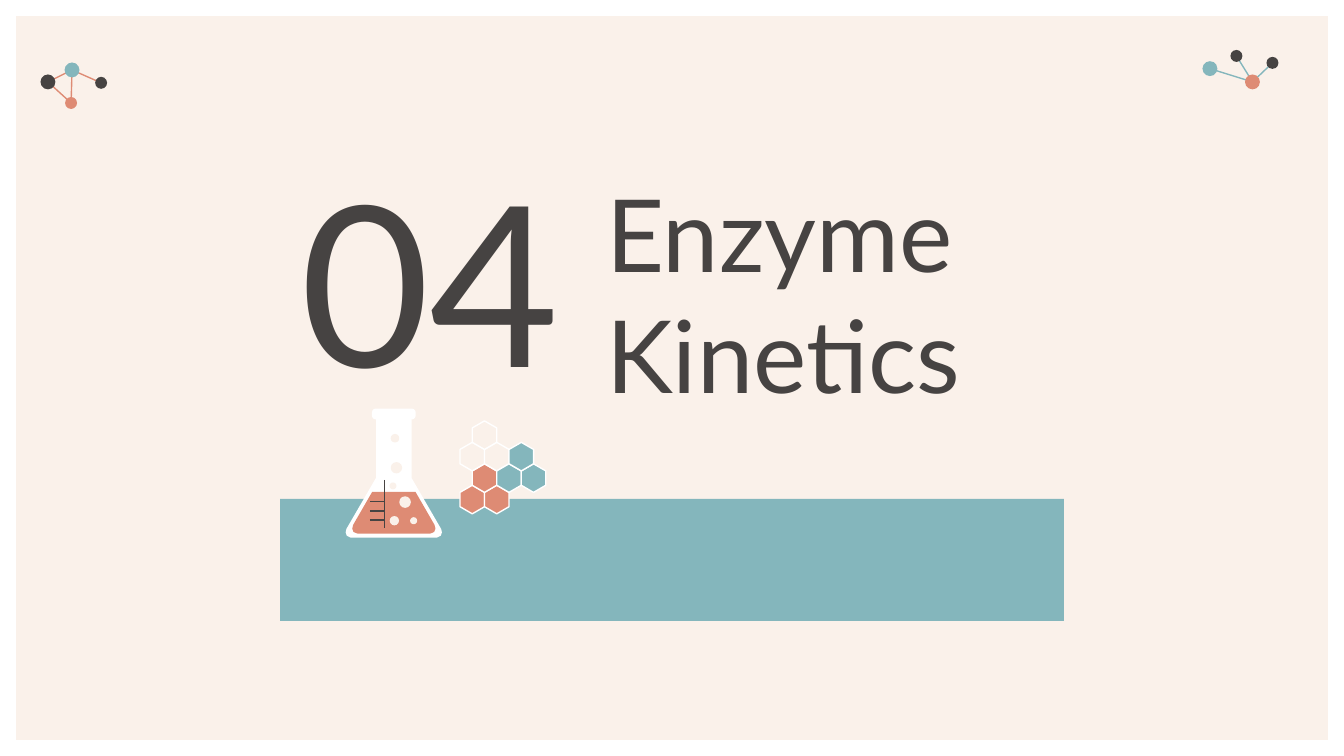
from lxml.etree import SubElement
from pptx import Presentation
from pptx.dml.color import RGBColor
from pptx.enum.shapes import MSO_CONNECTOR, MSO_SHAPE
from pptx.enum.text import MSO_ANCHOR, MSO_AUTO_SIZE, PP_ALIGN
from pptx.oxml.ns import qn
from pptx.util import Pt

CREAM = RGBColor(0xFA, 0xF1, 0xEA)
DARK = RGBColor(0x46, 0x43, 0x42)
TEAL = RGBColor(0x84, 0xB6, 0xBC)
CORAL = RGBColor(0xDE, 0x8B, 0x74)
WHITE = RGBColor(0xFF, 0xFF, 0xFF)


def paint(shape, fill, outline=None):
    shape.shadow.inherit = False
    shape.fill.solid()
    shape.fill.fore_color.rgb = fill
    if outline is None:
        shape.line.fill.background()
    else:
        shape.line.color.rgb = outline
        shape.line.width = Pt(0.75)


def draw_line(shapes, start, end, color):
    connector = shapes.add_connector(
        MSO_CONNECTOR.STRAIGHT, *[Pt(value) for value in start + end])
    connector.line.color.rgb = color
    connector.line.width = Pt(0.75)
    SubElement(connector._element.spPr, qn("a:effectLst"))


presentation = Presentation()
presentation.slide_width, presentation.slide_height = Pt(720), Pt(405)
slide = presentation.slides.add_slide(presentation.slide_layouts[0])
shapes = slide.shapes

# Background panel and teal band
for left, top, width, height, color in [(8.6, 8.6, 702.8, 387.8, CREAM),
                                        (150, 267.3, 420, 65.4, TEAL)]:
    panel = shapes.add_shape(
        MSO_SHAPE.RECTANGLE, Pt(left), Pt(top), Pt(width), Pt(height))
    paint(panel, color)

# Section title and number, brought in front of the panel
number = slide.placeholders[1]
for placeholder, text, size, alignment, anchor, box in [
    (number, "04", 120, PP_ALIGN.CENTER, MSO_ANCHOR.BOTTOM,
     (134.6, 73.4, 191.5, 154.8)),
    (shapes.title, "Enzyme Kinetics", 54, PP_ALIGN.LEFT, MSO_ANCHOR.MIDDLE,
     (317.5, 123.8, 241.2, 66.2)),
]:
    shapes._spTree.append(placeholder._element)
    placeholder.left, placeholder.top, placeholder.width, placeholder.height = [
        Pt(value) for value in box]
    frame = placeholder.text_frame
    frame.auto_size = MSO_AUTO_SIZE.NONE
    frame.word_wrap = True
    frame.vertical_anchor = anchor
    frame.margin_left = frame.margin_right = Pt(7.2)
    frame.margin_top = frame.margin_bottom = Pt(7.2)
    paragraph = frame.paragraphs[0]
    paragraph.alignment = alignment
    paragraph.space_before = Pt(0)
    run = paragraph.add_run()
    run.text = text
    run.font.name = "Lato"
    run.font.size = Pt(size)
    run.font.color.rgb = DARK

# Flask glass and liquid: right half is the mirror of the left
FLASK_CENTER = 211
polygons = []
for half_outline, color in [
    ([(9.5, 221.8), (9.5, 256), (25.4, 283.4), (25.8, 285.2),
      (25.2, 287), (23.2, 288)], WHITE),
    ([(11.6, 263.5), (21.8, 281.2), (22.3, 283.2),
      (21.6, 285), (19.6, 285.8)], CORAL),
]:
    left_side = [(FLASK_CENTER - x, y) for x, y in half_outline]
    right_side = [(FLASK_CENTER + x, y) for x, y in reversed(half_outline)]
    polygons.append((left_side + right_side, color, None))

# Honeycomb cells by half column and row
HALF_WIDTH, ROW_STEP = 6.57, 11.5
for column, row, color in [
    (0, 3, CORAL), (2, 3, CORAL), (1, 2, CORAL),
    (0, 1, CREAM), (2, 1, CREAM), (1, 0, CREAM),
    (3, 2, TEAL), (5, 2, TEAL), (4, 1, TEAL),
]:
    x = 253 + column * HALF_WIDTH
    y = 225.5 + row * ROW_STEP
    cell = [(x, y), (x - HALF_WIDTH, y + 3.8), (x - HALF_WIDTH, y + ROW_STEP),
            (x, y + 15.3), (x + HALF_WIDTH, y + ROW_STEP),
            (x + HALF_WIDTH, y + 3.8)]
    polygons.append((cell, color, WHITE))

for outline, color, border in polygons:
    points = [(Pt(x), Pt(y)) for x, y in outline]
    builder = shapes.build_freeform(*points[0])
    builder.add_line_segments(points[1:], close=True)
    paint(builder.convert_to_shape(), color, border)

# Flask rim
rim = shapes.add_shape(
    MSO_SHAPE.ROUNDED_RECTANGLE, Pt(199.3), Pt(218.9), Pt(23.4), Pt(5.8))
rim.adjustments[0] = 0.35
paint(rim, WHITE)

# Flask scale
draw_line(shapes, (206.1, 257.1), (206.1, 283), DARK)
for tick in range(3):
    y = 268.7 + 5 * tick
    draw_line(shapes, (198.2, y), (206.1, y), DARK)

# Bubbles: center x, center y, diameter, color
circles = [(x, y, diameter, CREAM) for x, y, diameter in [
    (211.6, 234.8, 4.6), (212.4, 250.6, 6.1), (210.5, 260.3, 3.7),
    (217, 269, 6.2), (211.3, 279, 5), (221.6, 279, 3.8)]]

# Molecules: atoms and the bonds between them
for atoms, bonds, bond_color in [
    ([(38.6, 37.5, 8, TEAL), (25.7, 43.9, 8, DARK),
      (54.2, 44.4, 6.4, DARK), (38.1, 55.2, 6.4, CORAL)],
     [(0, 1), (0, 2), (0, 3), (1, 3)], CORAL),
    ([(648.2, 36.8, 8, TEAL), (671, 43.9, 8, CORAL),
      (662.4, 30, 6.4, DARK), (681.7, 33.7, 6.4, DARK)],
     [(0, 1), (1, 2), (1, 3)], TEAL),
]:
    for first, second in bonds:
        draw_line(shapes, atoms[first][:2], atoms[second][:2], bond_color)
    circles += atoms

for x, y, diameter, color in circles:
    circle = shapes.add_shape(
        MSO_SHAPE.OVAL, Pt(x - diameter / 2), Pt(y - diameter / 2),
        Pt(diameter), Pt(diameter))
    paint(circle, color)

presentation.save("out.pptx")
